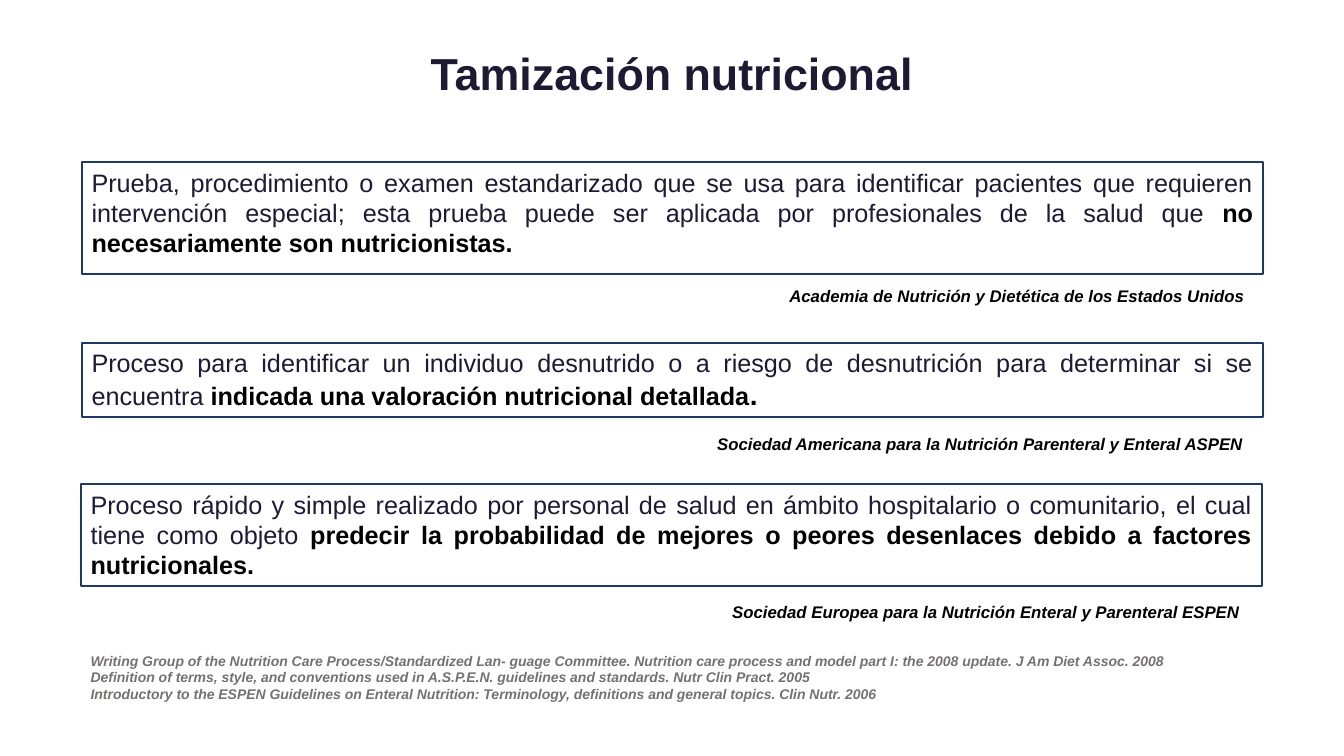
from dataclasses import dataclass

from pptx import Presentation
from pptx.dml.color import RGBColor
from pptx.enum.shapes import MSO_SHAPE
from pptx.enum.text import MSO_ANCHOR, MSO_AUTO_SIZE, PP_ALIGN
from pptx.util import Pt

RECTANGLE = MSO_SHAPE.RECTANGLE
TOP, MIDDLE = MSO_ANCHOR.TOP, MSO_ANCHOR.MIDDLE
NO_AUTOFIT = MSO_AUTO_SIZE.NONE
LEFT, CENTER = PP_ALIGN.LEFT, PP_ALIGN.CENTER
RIGHT, JUSTIFY = PP_ALIGN.RIGHT, PP_ALIGN.JUSTIFY

FONT = "Arial"
COLORS = {"text": "1F1A34", "emphasis": "000000", "border": "203864", "reference": "767171"}
BOX_WIDTH = 843.8
CREDIT_HEIGHT = 21.6


@dataclass
class Run:
    text: str
    color: str = "text"
    bold: bool = False
    size: float | None = None


@dataclass
class Definition:
    left: float
    top: float
    height: float
    runs: list[Run]


@dataclass
class Credit:
    left: float
    top: float
    width: float
    text: str
    alignment: PP_ALIGN = CENTER


DEFINITIONS = [
    Definition(58.3, 115.9, 79.9, [
        Run("Prueba, procedimiento o examen estandarizado que se usa para identificar pacientes "
            "que requieren intervención especial; esta prueba puede ser aplicada por "
            "profesionales de la salud que "),
        Run("no necesariamente son nutricionistas.", "emphasis", True),
    ]),
    Definition(58.3, 244.8, 53.3, [
        Run("Proceso para identificar un individuo desnutrido o a riesgo de desnutrición para "
            "determinar si se encuentra "),
        Run("indicada una valoración nutricional detallada", "emphasis", True),
        Run(".", "emphasis", True, 20),
    ]),
    Definition(57.6, 345.6, 72.7, [
        Run("Proceso rápido y simple realizado por personal de salud en ámbito hospitalario o "
            "comunitario, el cual tiene como objeto "),
        Run("predecir la probabilidad de mejores o peores desenlaces debido a factores "
            "nutricionales.", "emphasis", True),
    ]),
]

CREDITS = [
    Credit(523.5, 200.2, 406, "Academia de Nutrición y Dietética de los Estados Unidos"),
    Credit(480.2, 306, 440, "Sociedad Americana para la Nutrición Parenteral y Enteral ASPEN"),
    Credit(419, 426.2, 473.8, "Sociedad Europea para la Nutrición Enteral y Parenteral ESPEN",
           RIGHT),
]

REFERENCES = [
    "Writing Group of the Nutrition Care Process/Standardized Lan- guage Committee. Nutrition "
    "care process and model part I: the 2008 update. J Am Diet Assoc. 2008",
    "Definition of terms, style, and conventions used in A.S.P.E.N. guidelines and standards. "
    "Nutr Clin Pract. 2005",
    "Introductory to the ESPEN Guidelines on Enteral Nutrition: Terminology, definitions and "
    "general topics. Clin Nutr. 2006",
]


def rgb(name: str) -> RGBColor:
    return RGBColor.from_string(COLORS[name])


def style_font(font, size: float, color: str, bold: bool = True, italic: bool = False) -> None:
    font.name = FONT
    font.size = Pt(size)
    font.color.rgb = rgb(color)
    font.bold = bold
    font.italic = italic


def add_title(slide, text: str) -> None:
    title = slide.shapes.title
    title.left, title.top, title.width, title.height = Pt(0), Pt(16.6), Pt(960), Pt(75.6)
    frame = title.text_frame
    frame.text = text
    frame.auto_size = NO_AUTOFIT
    frame.vertical_anchor = MIDDLE
    paragraph = frame.paragraphs[0]
    paragraph.alignment = CENTER
    paragraph.line_spacing = 0.9
    style_font(paragraph.font, 32, "text")


def add_definition(slide, definition: Definition) -> None:
    shape = slide.shapes.add_shape(RECTANGLE, Pt(definition.left), Pt(definition.top),
                                   Pt(BOX_WIDTH), Pt(definition.height))
    shape.shadow.inherit = False
    shape.fill.background()
    shape.line.color.rgb = rgb("border")
    shape.line.width = Pt(1.5)
    frame = shape.text_frame
    frame.word_wrap = True
    frame.vertical_anchor = TOP
    paragraph = frame.paragraphs[0]
    paragraph.alignment = JUSTIFY
    paragraph.font.name = FONT
    paragraph.font.size = Pt(18)
    for item in definition.runs:
        run = paragraph.add_run()
        run.text = item.text
        run.font.color.rgb = rgb(item.color)
        run.font.bold = item.bold
        if item.size:
            run.font.size = Pt(item.size)


def add_text(slide, left: float, top: float, width: float, height: float, lines: list[str],
             size: float, color: str, alignment: PP_ALIGN) -> None:
    box = slide.shapes.add_textbox(Pt(left), Pt(top), Pt(width), Pt(height))
    frame = box.text_frame
    frame.word_wrap = True
    frame.text = "\n".join(lines)
    for paragraph in frame.paragraphs:
        paragraph.alignment = alignment
        style_font(paragraph.font, size, color, italic=True)


def main() -> None:
    presentation = Presentation()
    presentation.slide_width, presentation.slide_height = Pt(960), Pt(540)
    slide = presentation.slides.add_slide(presentation.slide_layouts[5])

    add_title(slide, "Tamización nutricional")

    # Definitions, each followed by the body that issued it
    for definition, credit in zip(DEFINITIONS, CREDITS):
        add_definition(slide, definition)
        add_text(slide, credit.left, credit.top, credit.width, CREDIT_HEIGHT, [credit.text],
                 12, "emphasis", credit.alignment)

    # References
    add_text(slide, 57.6, 462.2, BOX_WIDTH, 43.9, REFERENCES, 10, "reference", LEFT)

    presentation.save("out.pptx")


if __name__ == "__main__":
    main()
